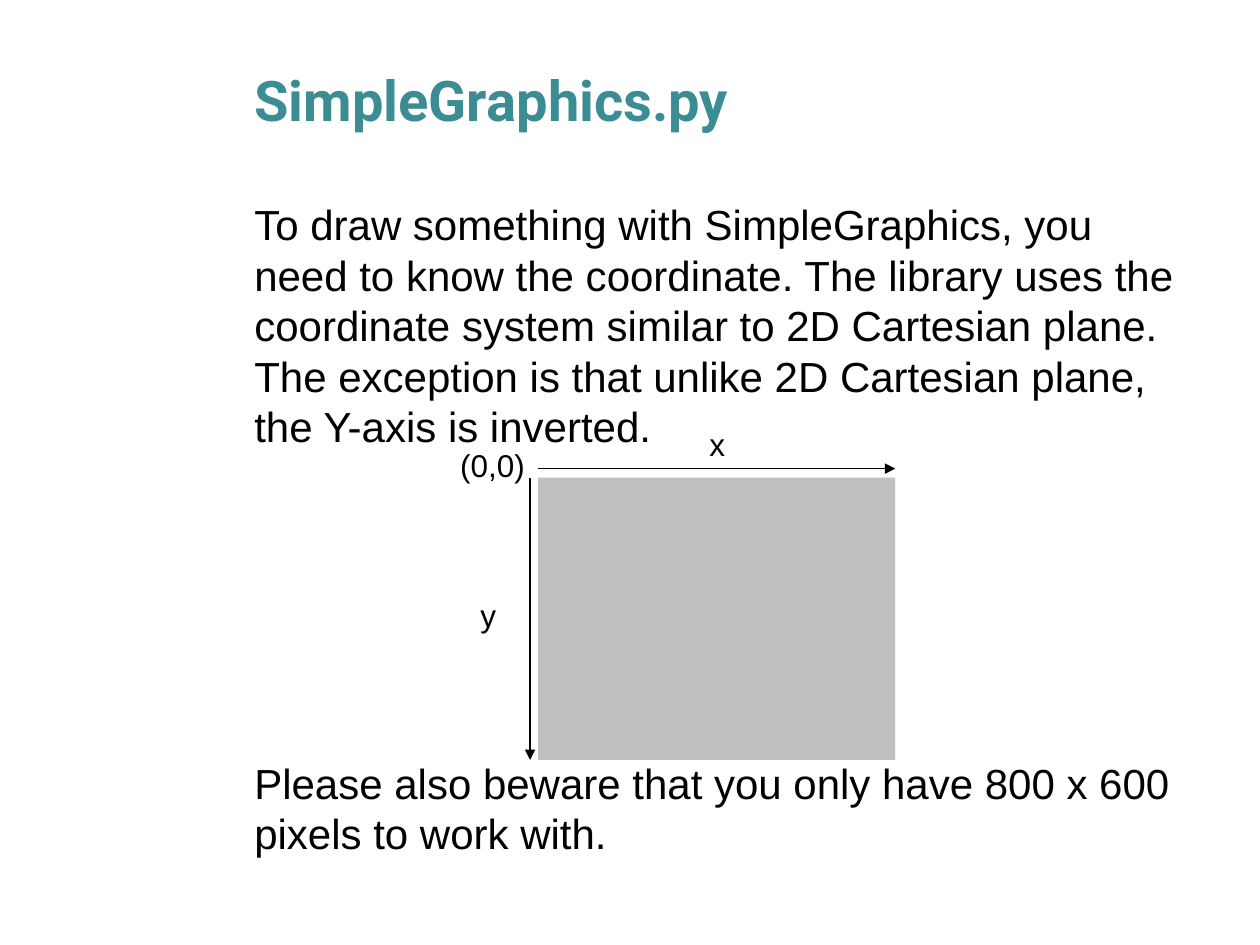
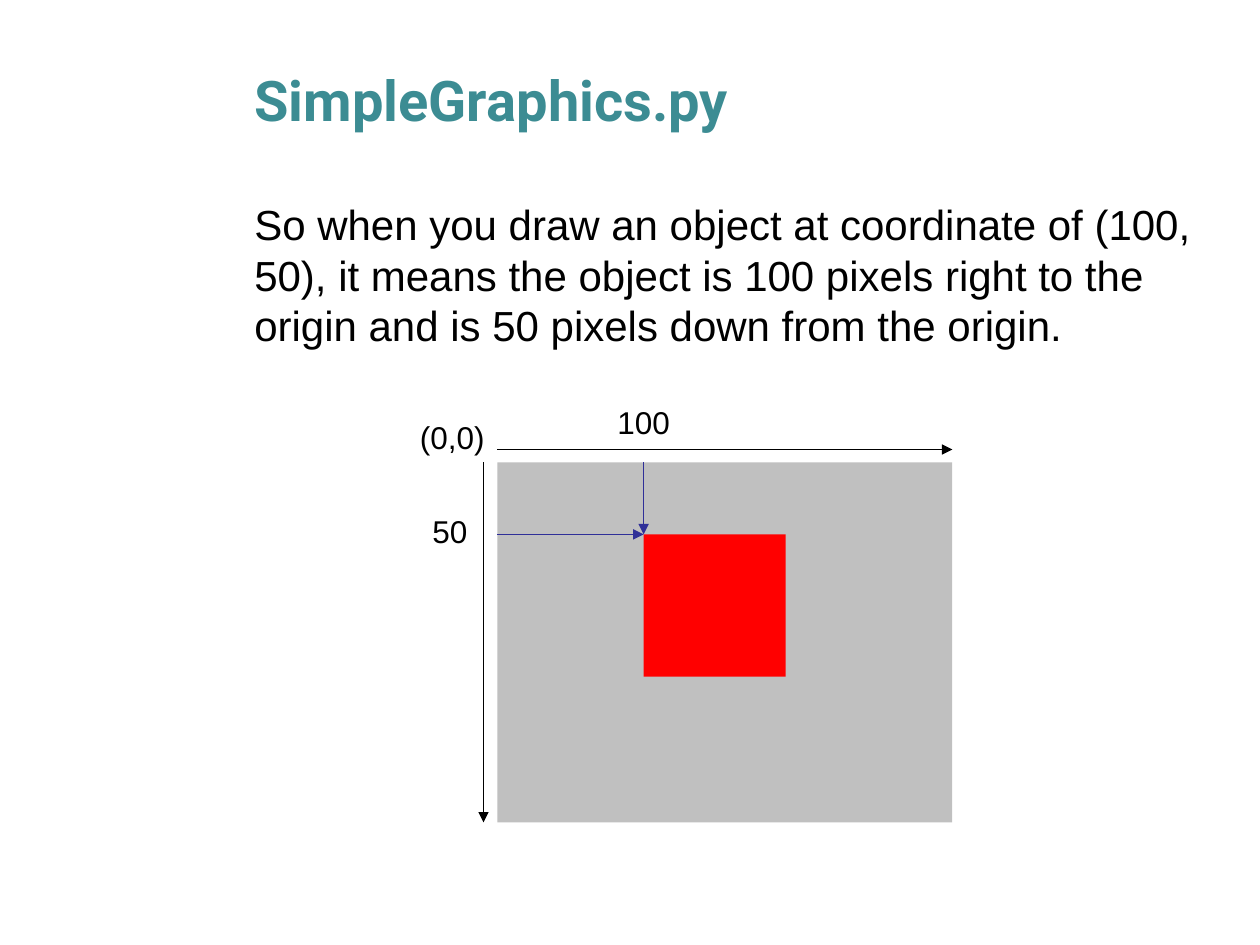
import pptx
import pptx.dml.color
import pptx.enum.shapes
import pptx.enum.text
import pptx.oxml
import pptx.oxml.ns
import pptx.util
from lxml import etree

Pt = pptx.util.Pt
ALIGN = pptx.enum.text.PP_ALIGN
ANCHOR = pptx.enum.text.MSO_ANCHOR

BLACK, TEAL, GRAY, RED, NAVY = "000000", "3C8C93", "C0C0C0", "FF0000", "2F2F98"
TITLE = "SimpleGraphics.py"
TITLE_BOX = (138.24, 23.76, 552.24, 66.24)
BODY_BOX = (138.24, 110.16, 552.24, 360)
LABEL_HEIGHT = 24.5

SLIDES = [
    {
        "body": [
            "To draw something with SimpleGraphics, you need to know the coordinate. "
            "The library uses the coordinate system similar to 2D Cartesian plane. "
            "The exception is that unlike 2D Cartesian plane, the Y-axis is inverted.",
            "Please also beware that you only have 800 x 600 pixels to work with.",
        ],
        "body_gap": 175.2,
        "canvas": (307.3, 273, 204.3, 161.3),
        "axis_gaps": (4.4, 5.2),
        "labels": [("(0,0)", 281.5, 267.8, 52), ("x", 409.8, 255.6, 24), ("y", 279, 353.5, 24)],
    },
    {
        "body": [
            "So when you draw an object at coordinate of (100, 50), it means the object "
            "is 100 pixels right to the origin and is 50 pixels down from the origin.",
        ],
        "body_gap": 0,
        "canvas": (284.2, 264.2, 260, 205.8),
        "axis_gaps": (7.9, 7.3),
        "object": (367.8, 305.4, 81.2, 81.2),
        "labels": [("(0,0)", 258.5, 252, 52), ("100", 367.8, 243.4, 45), ("50", 257, 305.4, 35)],
    },
]


def rgb(value):
    """Turn a hex string into a colour."""
    return pptx.dml.color.RGBColor.from_string(value)


def place(shape, box):
    """Move a shape to a box given in points."""
    shape.left, shape.top, shape.width, shape.height = map(Pt, box)


def write(shape, *texts, size, color=BLACK, font="Arial", bold=False, align=ALIGN.LEFT,
          anchor=ANCHOR.TOP, wrap=True, spacing=1.0, gap=0):
    """Write formatted paragraphs into a shape."""
    frame = shape.text_frame
    frame.auto_size = pptx.enum.text.MSO_AUTO_SIZE.NONE
    frame.word_wrap = wrap
    frame.vertical_anchor = anchor
    for index, text in enumerate(texts):
        paragraph = frame.add_paragraph() if index else frame.paragraphs[0]
        paragraph.alignment = align
        paragraph.line_spacing = spacing
        paragraph.space_before = Pt(gap if index else 0)
        run = paragraph.add_run()
        run.text = text
        run.font.size, run.font.name, run.font.bold = Pt(size), font, bold
        run.font.color.rgb = rgb(color)


def add_rectangle(slide, box, color):
    """Add a plain filled rectangle."""
    kind = pptx.enum.shapes.MSO_SHAPE.RECTANGLE
    shape = slide.shapes.add_shape(kind, *map(Pt, box))
    shape.shadow.inherit = False
    shape.fill.solid()
    shape.fill.fore_color.rgb = rgb(color)
    shape.line.fill.background()


def add_arrow(slide, start, end, color=BLACK):
    """Add a thin straight arrow between two points."""
    kind = pptx.enum.shapes.MSO_CONNECTOR.STRAIGHT
    arrow = slide.shapes.add_connector(kind, *map(Pt, start + end))
    arrow.line.width = Pt(0.75)
    arrow.line.color.rgb = rgb(color)
    qualify = pptx.oxml.ns.qn
    line = arrow.line._get_or_add_ln()
    etree.SubElement(line, qualify("a:tailEnd"), type="triangle")
    etree.SubElement(arrow._element.spPr, qualify("a:effectLst"))


def add_coordinates(slide, content):
    """Draw the canvas, its axes, the placed object and the labels."""
    left, top, width, height = content["canvas"]
    gap_left, gap_top = content["axis_gaps"]
    add_rectangle(slide, content["canvas"], GRAY)
    add_arrow(slide, (left, top - gap_top), (left + width, top - gap_top))
    add_arrow(slide, (left - gap_left, top), (left - gap_left, top + height))
    if "object" in content:
        corner = content["object"][:2]
        add_rectangle(slide, content["object"], RED)
        add_arrow(slide, (corner[0], top), corner, NAVY)
        add_arrow(slide, (left, corner[1]), corner, NAVY)
    for text, center, middle, label_width in content["labels"]:
        box = (center - label_width / 2, middle - LABEL_HEIGHT / 2, label_width, LABEL_HEIGHT)
        label = slide.shapes.add_textbox(*map(Pt, box))
        write(label, text, size=18, align=ALIGN.CENTER, wrap=False, spacing=0.8)


def main():
    """Build the slides and save them."""
    presentation = pptx.Presentation()
    presentation.slide_width, presentation.slide_height = Pt(720), Pt(540)
    for content in SLIDES:
        slide = presentation.slides.add_slide(presentation.slide_layouts[5])
        place(slide.shapes.title, TITLE_BOX)
        write(slide.shapes.title, TITLE, size=32, color=TEAL, font="Roboto", bold=True,
              anchor=ANCHOR.MIDDLE)
        body = slide.shapes.add_textbox(*map(Pt, BODY_BOX))
        write(body, *content["body"], size=24, spacing=Pt(28.8), gap=content["body_gap"])
        add_coordinates(slide, content)
    presentation.save("out.pptx")


if __name__ == "__main__":
    main()
